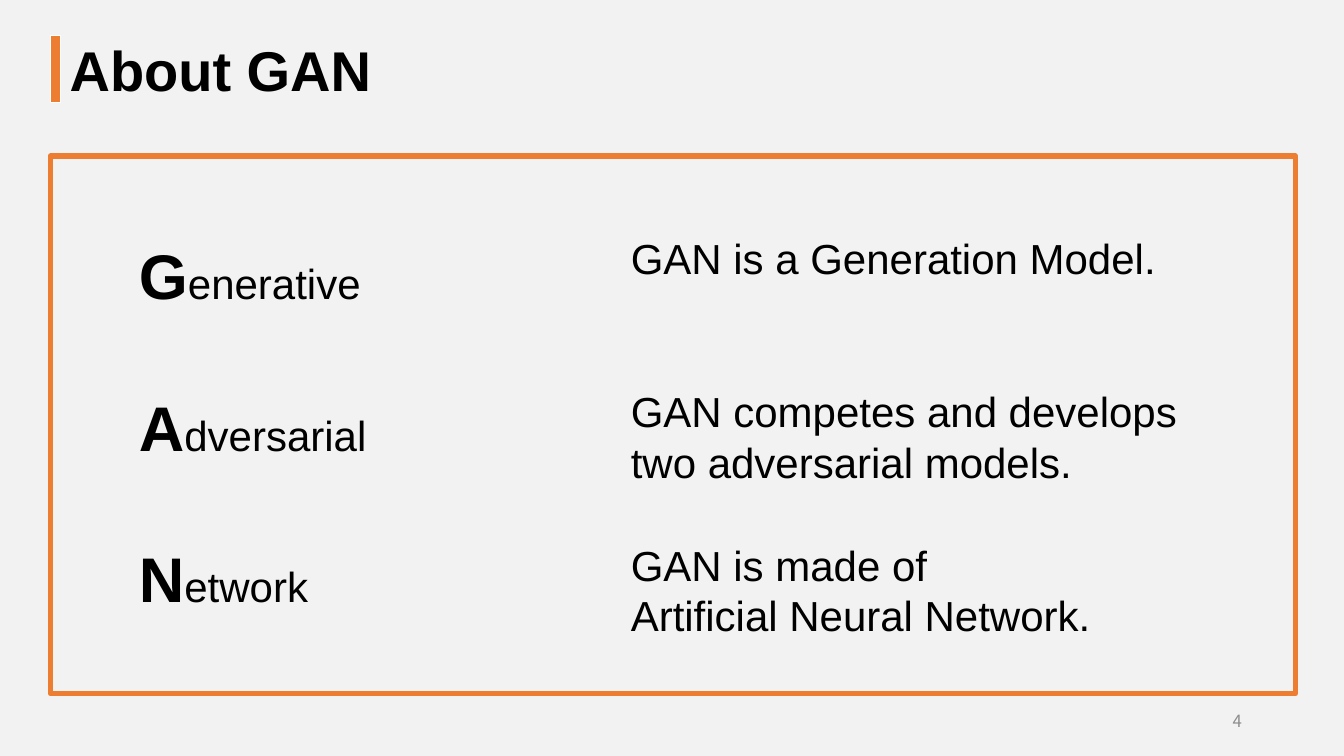
"""Build the slide that explains the three words behind GAN."""
from typing import NamedTuple

from pptx import Presentation
from pptx.dml.color import RGBColor
from pptx.enum.shapes import MSO_SHAPE
from pptx.enum.text import MSO_ANCHOR, PP_ALIGN
from pptx.util import Inches, Pt

COLOURS = {
    "background": "F2F2F2",
    "accent": "ED7D31",
    "edge": "FFFFFF",
    "text": "000000",
    "number": "8C8C8C",
}
FONT = "Arial"
SLIDE_WIDTH, SLIDE_HEIGHT = Inches(13.33), Inches(7.5)
MEANING_TOP, MEANING_STEP = 30.13, 20.27
LINE_SHARE, PADDING_SHARE = 6.67, 1.46


class Area(NamedTuple):
    """Place and size in percent of the slide's width and height."""

    left: float
    top: float
    width: float
    height: float

    def lengths(self) -> tuple[int, int, int, int]:
        """Return left, top, width and height as slide lengths."""
        return (
            int(SLIDE_WIDTH * self.left / 100),
            int(SLIDE_HEIGHT * self.top / 100),
            int(SLIDE_WIDTH * self.width / 100),
            int(SLIDE_HEIGHT * self.height / 100),
        )


class Term(NamedTuple):
    """One word of the acronym and the lines that explain it."""

    initial: str
    rest: str
    meaning: tuple[str, ...]


TERMS = (
    Term("G", "enerative", ("GAN is a Generation Model.",)),
    Term("A", "dversarial", ("GAN competes and develops", "two adversarial models.")),
    Term("N", "etwork", ("GAN is made of", "Artificial Neural Network.")),
)


def colour(name: str) -> RGBColor:
    """Look up a named colour."""
    return RGBColor.from_string(COLOURS[name])


def style(font, size: float, name: str = FONT, tint: str = "text") -> None:
    """Set the size, typeface and colour of a font."""
    font.size, font.name = Pt(size), name
    font.color.rgb = colour(tint)


def add_rectangle(slide, area: Area, fill: str | None, edge: str, weight: float) -> None:
    """Draw a rectangle, hollow when no fill is named."""
    rectangle = slide.shapes.add_shape(MSO_SHAPE.RECTANGLE, *area.lengths())
    rectangle.shadow.inherit = False
    if fill:
        rectangle.fill.solid()
        rectangle.fill.fore_color.rgb = colour(fill)
    else:
        rectangle.fill.background()
    rectangle.line.color.rgb = colour(edge)
    rectangle.line.width = Pt(weight)


def add_lines(slide, area: Area, count: int) -> list:
    """Add a wrapping text box and return its paragraphs."""
    frame = slide.shapes.add_textbox(*area.lengths()).text_frame
    frame.word_wrap = True
    for _ in range(count - 1):
        frame.add_paragraph()
    return list(frame.paragraphs)


def add_title(slide) -> None:
    """Place and format the slide title."""
    title = slide.shapes.title
    title.left, title.top, title.width, title.height = Area(4.43, 4, 55.88, 10.27).lengths()
    title.text_frame.text = "About GAN"
    title.text_frame.vertical_anchor = MSO_ANCHOR.TOP
    heading = title.text_frame.paragraphs[0]
    heading.alignment = PP_ALIGN.LEFT
    style(heading.font, 40)
    heading.font.bold = True


def add_acronym(slide) -> None:
    """Write the three words with enlarged initials."""
    words = add_lines(slide, Area(9.6, 20.67, 19.35, 58.8), len(TERMS))
    for word, term in zip(words, TERMS):
        word.line_spacing = 2.0
        style(word.font, 30)
        initial = word.add_run()
        initial.text = term.initial
        initial.font.size, initial.font.bold = Pt(45), True
        word.add_run().text = term.rest


def add_meanings(slide) -> None:
    """Write one explanation beside each word."""
    for row, term in enumerate(TERMS):
        height = PADDING_SHARE + LINE_SHARE * len(term.meaning)
        area = Area(46.2, MEANING_TOP + row * MEANING_STEP, 52.58, height)
        for line, wording in zip(add_lines(slide, area, len(term.meaning)), term.meaning):
            line.text = wording
            style(line.font, 30)


def add_page_number(slide) -> None:
    """Write the page number at the lower right."""
    box = slide.shapes.add_textbox(*Area(70.65, 92.67, 22.5, 5.33).lengths())
    box.text_frame.vertical_anchor = MSO_ANCHOR.MIDDLE
    box.text_frame.word_wrap = True
    number = box.text_frame.paragraphs[0]
    number.text = "4"
    number.alignment = PP_ALIGN.RIGHT
    style(number.font, 12, "Noto Sans CJK KR", "number")


def main() -> None:
    """Build and save the presentation."""
    presentation = Presentation()
    presentation.slide_width, presentation.slide_height = SLIDE_WIDTH, SLIDE_HEIGHT
    slide = presentation.slides.add_slide(presentation.slide_layouts[5])
    slide.background.fill.solid()
    slide.background.fill.fore_color.rgb = colour("background")
    add_rectangle(slide, Area(3.75, 4.67, 0.75, 8.93), "accent", "edge", 1)
    add_title(slide)
    add_acronym(slide)
    add_meanings(slide)
    add_rectangle(slide, Area(3.75, 20.67, 92.63, 71.07), None, "accent", 4)
    add_page_number(slide)
    presentation.save("out.pptx")


if __name__ == "__main__":
    main()
